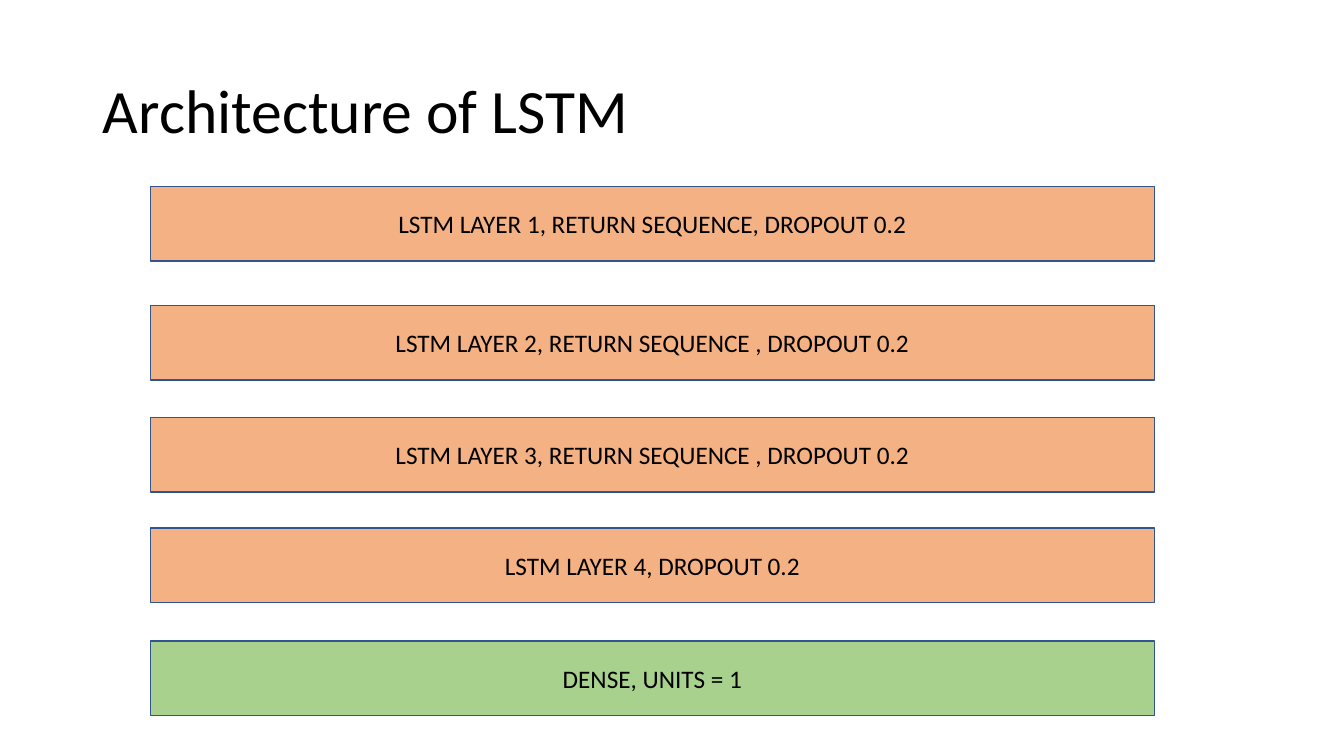
"""Build the slide that shows the LSTM layer stack."""
from pptx import Presentation
from pptx import util as u
from pptx.dml.color import RGBColor
from pptx.enum import shapes, text

COLOURS = {"lstm": "F4B183", "dense": "A9D18E", "outline": "325491", "ink": "000000"}
FONT = "Calibri"
LAYER_HEIGHT = 0.74
LAYERS = [
    (0, "lstm", "LSTM LAYER 1, RETURN SEQUENCE, DROPOUT 0.2"),
    (1.18, "lstm", "LSTM LAYER 2, RETURN SEQUENCE , DROPOUT 0.2"),
    (2.29, "lstm", "LSTM LAYER 3, RETURN SEQUENCE , DROPOUT 0.2"),
    (3.39, "lstm", "LSTM LAYER 4, DROPOUT 0.2"),
    (4.51, "dense", "DENSE, UNITS = 1"),
]


def colour(name):
    """Return the named colour."""
    return RGBColor.from_string(COLOURS[name])


def write(frame, wording, size, align):
    """Fill a text frame with one formatted, vertically centred line."""
    frame.text = wording
    frame.word_wrap = True
    frame.vertical_anchor = text.MSO_ANCHOR.MIDDLE
    line = frame.paragraphs[0]
    line.alignment = align
    font = line.runs[0].font
    font.name, font.size = FONT, u.Pt(size)
    font.color.rgb = colour("ink")


def add_heading(slide, left, top, width, height):
    """Place the title in the given box."""
    heading = slide.shapes.title
    heading.left, heading.top = u.Inches(left), u.Inches(top)
    heading.width, heading.height = u.Inches(width), u.Inches(height)
    write(heading.text_frame, "Architecture of LSTM", 44, text.PP_ALIGN.LEFT)
    heading.text_frame.paragraphs[0].line_spacing = 0.9


def add_layers(slide, left, top, width):
    """Stack the network layers downwards from the given corner."""
    for offset, kind, wording in LAYERS:
        layer = slide.shapes.add_shape(
            shapes.MSO_SHAPE.RECTANGLE, u.Inches(left), u.Inches(top + offset),
            u.Inches(width), u.Inches(LAYER_HEIGHT))
        layer.shadow.inherit = False
        layer.fill.solid()
        layer.fill.fore_color.rgb = colour(kind)
        layer.line.color.rgb = colour("outline")
        layer.line.width = u.Pt(1)
        write(layer.text_frame, wording, 18, text.PP_ALIGN.CENTER)


def main():
    """Build and save the presentation."""
    deck = Presentation()
    deck.slide_width, deck.slide_height = u.Inches(13.33), u.Inches(7.5)
    slide = deck.slides.add_slide(deck.slide_layouts[5])
    add_heading(slide, 0.92, 0.4, 11.5, 1.45)
    add_layers(slide, 1.49, 1.85, 9.96)
    deck.save("out.pptx")


if __name__ == "__main__":
    main()
